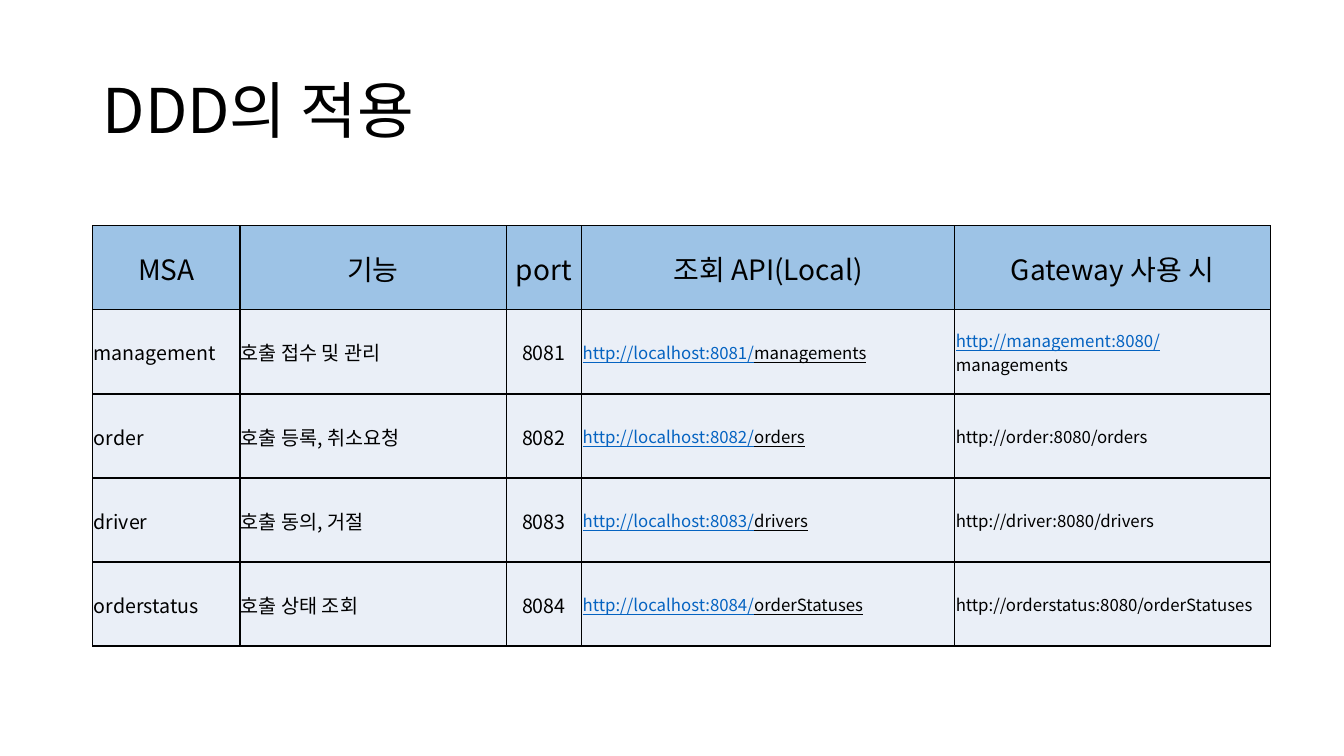
from dataclasses import dataclass

from lxml.etree import SubElement
from pptx import Presentation
from pptx.dml.color import RGBColor
from pptx.enum.text import MSO_ANCHOR, PP_ALIGN
from pptx.oxml.ns import qn
from pptx.util import Inches, Pt


@dataclass(frozen=True)
class Theme:
    font: str = "Noto Sans CJK KR"
    ink: str = "000000"
    link: str = "0563C1"
    header_fill: str = "9DC3E6"
    body_fill: str = "EAEFF7"
    title_size: int = 44
    header_size: int = 20
    body_size: int = 14
    url_size: int = 12
    border_width: int = 1


THEME = Theme()

HEADERS = ["MSA", "기능", "port", "조회 API(Local)", "Gateway 사용 시"]
COLUMN_WIDTHS = [1.46, 2.64, 0.75, 3.7, 3.13]
SERVICES = [
    ("management", "호출 접수 및 관리", 8081, "managements"),
    ("order", "호출 등록, 취소요청", 8082, "orders"),
    ("driver", "호출 동의, 거절", 8083, "drivers"),
    ("orderstatus", "호출 상태 조회", 8084, "orderStatuses"),
]
LINKED_GATEWAYS = {"management"}


def add_text(paragraph, text, size, color=THEME.ink, underline=False):
    run = paragraph.add_run()
    run.text = text
    font = run.font
    font.size = Pt(size)
    font.name = THEME.font
    font.bold = False
    font.underline = underline
    font.color.rgb = RGBColor.from_string(color)
    SubElement(font._element, qn("a:ea"), typeface=THEME.font)


def add_borders(cell):
    properties = cell._tc.get_or_add_tcPr()
    for side in ("lnL", "lnR", "lnT", "lnB"):
        border = SubElement(properties, qn(f"a:{side}"), w=str(Pt(THEME.border_width)))
        border_fill = SubElement(border, qn("a:solidFill"))
        SubElement(border_fill, qn("a:srgbClr"), val=THEME.ink)


def format_cell(cell, fill, align):
    """Style the cell and return its paragraph, ready for text."""
    add_borders(cell)
    cell.fill.solid()
    cell.fill.fore_color.rgb = RGBColor.from_string(fill)
    cell.vertical_anchor = MSO_ANCHOR.MIDDLE
    cell.margin_left = cell.margin_top = cell.margin_right = Inches(0.01)
    cell.margin_bottom = 0
    paragraph = cell.text_frame.paragraphs[0]
    paragraph.alignment = align
    return paragraph


def add_title(slide, left, top, width, height):
    title = slide.shapes.add_textbox(
        Inches(left), Inches(top), Inches(width), Inches(height))
    frame = title.text_frame
    frame.word_wrap = True
    frame.vertical_anchor = MSO_ANCHOR.MIDDLE
    frame.paragraphs[0].line_spacing = 0.9
    add_text(frame.paragraphs[0], "DDD의 적용", THEME.title_size)


def fill_service_row(cells, service, role, port, resource):
    paragraphs = [
        format_cell(cell, THEME.body_fill,
                    PP_ALIGN.CENTER if column == 2 else PP_ALIGN.LEFT)
        for column, cell in enumerate(cells)
    ]
    for paragraph, text in zip(paragraphs, (service, role, str(port))):
        add_text(paragraph, text, THEME.body_size)

    local_api, gateway = paragraphs[3:]
    add_text(local_api, f"http://localhost:{port}/", THEME.url_size,
             color=THEME.link, underline=True)
    add_text(local_api, resource, THEME.url_size, underline=True)

    gateway_root = f"http://{service}:8080/"
    if service in LINKED_GATEWAYS:
        add_text(gateway, gateway_root, THEME.url_size,
                 color=THEME.link, underline=True)
        add_text(gateway, resource, THEME.url_size)
    else:
        add_text(gateway, gateway_root + resource, THEME.url_size)


def add_service_table(slide, left, top, width, height):
    row_count = len(SERVICES) + 1
    table = slide.shapes.add_table(
        row_count, len(HEADERS),
        Inches(left), Inches(top), Inches(width), Inches(height)).table
    table.first_row = False
    table.horz_banding = False
    for column, share in zip(table.columns, COLUMN_WIDTHS):
        column.width = Inches(width * share / sum(COLUMN_WIDTHS))
    for row in table.rows:
        row.height = Inches(height / row_count)

    header_row, *service_rows = table.rows
    for cell, heading in zip(header_row.cells, HEADERS):
        paragraph = format_cell(cell, THEME.header_fill, PP_ALIGN.CENTER)
        add_text(paragraph, heading, THEME.header_size)
    for row, service in zip(service_rows, SERVICES):
        fill_service_row(row.cells, *service)


def main():
    presentation = Presentation()
    presentation.slide_width = Inches(13.33)
    presentation.slide_height = Inches(7.5)
    slide = presentation.slides.add_slide(presentation.slide_layouts[6])
    add_title(slide, 0.92, 0.4, 11.5, 1.45)
    add_service_table(slide, 0.92, 2.24, 11.68, 4.17)
    presentation.save("out.pptx")


if __name__ == "__main__":
    main()
